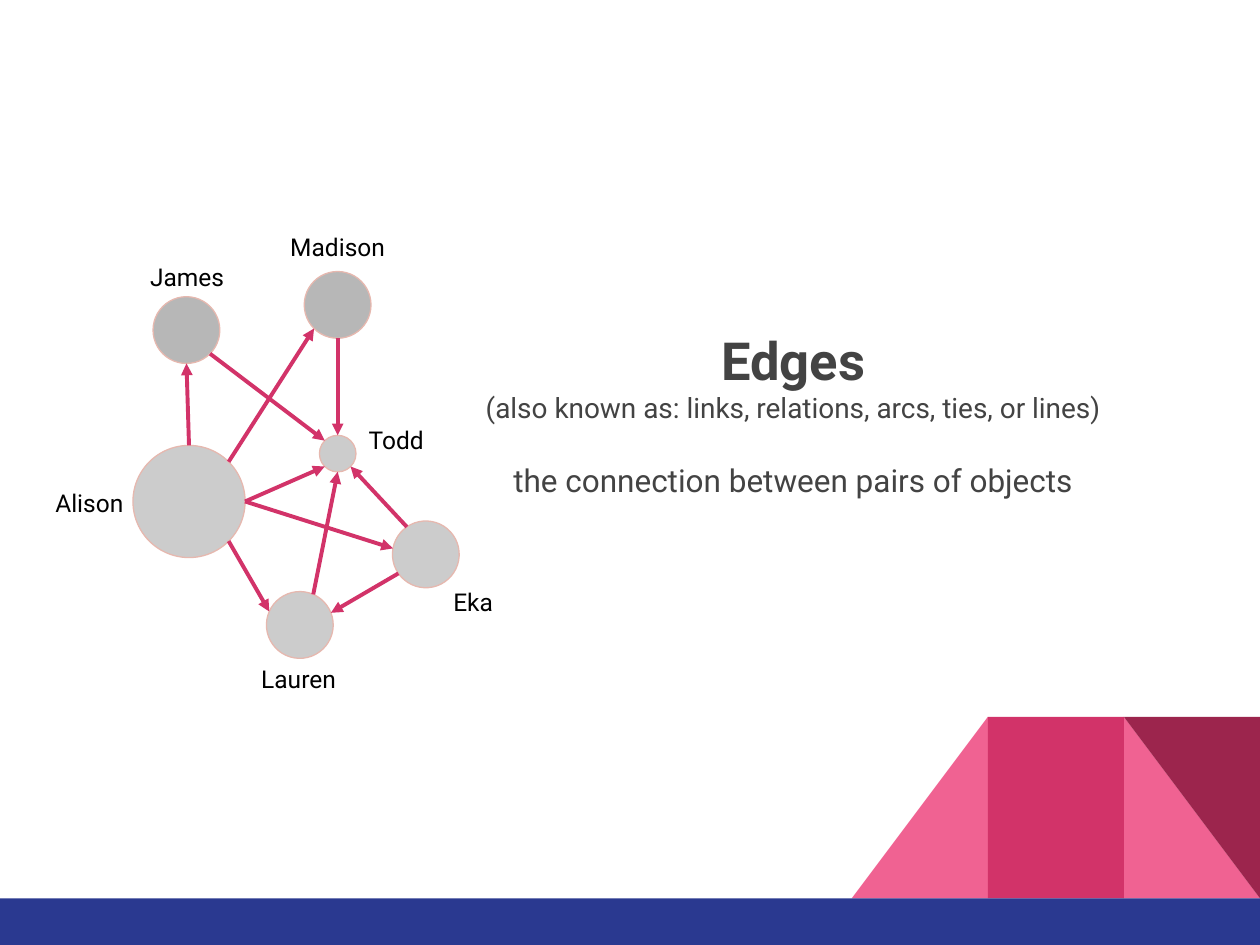
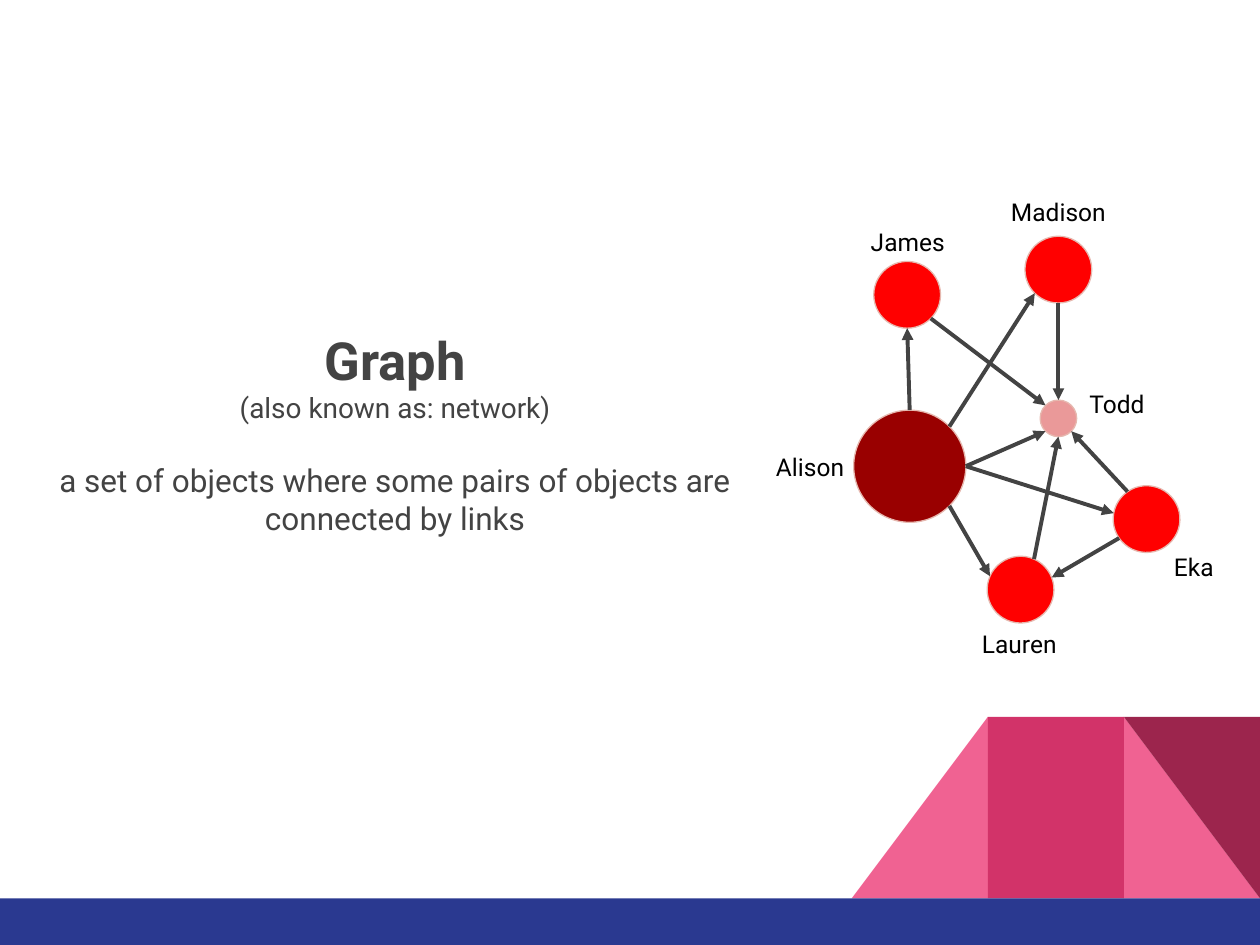
"""Build two slides that explain edges and graphs with a small social network."""
from math import cos, radians, sin

from lxml import etree
from pptx import Presentation
from pptx.dml.color import RGBColor
from pptx.enum.shapes import MSO_CONNECTOR, MSO_SHAPE
from pptx.enum.text import MSO_ANCHOR, MSO_AUTO_SIZE, PP_ALIGN
from pptx.oxml.ns import qn
from pptx.util import Inches, Pt

OVAL, RECT, TRIANGLE = MSO_SHAPE.OVAL, MSO_SHAPE.RECTANGLE, MSO_SHAPE.RIGHT_TRIANGLE
STRAIGHT = MSO_CONNECTOR.STRAIGHT
TOP, NO_FIT = MSO_ANCHOR.TOP, MSO_AUTO_SIZE.NONE
LEFT, CENTER = PP_ALIGN.LEFT, PP_ALIGN.CENTER
COLS, ROWS = 10, 7.5

FONT = "Roboto"
DARK, BLACK = "434343", "000000"
PINK, MAGENTA, WINE, BLUE = "F06292", "D23369", "9C254D", "2A3990"
OUTLINE = "E6B8AF"

NODES = {
    "Todd": (2.68, 3.6, 0.29, 0),
    "Madison": (2.68, 2.42, 0.53, 0),
    "Alison": (1.5, 3.98, 0.89, 0),
    "James": (1.48, 2.62, 0.53, 0),
    "Lauren": (2.38, 4.96, 0.53, 23.7),
    "Eka": (3.38, 4.4, 0.53, 10.3),
}
LABELS = {
    "Todd": (2.75, 3.27, 0.79, CENTER),
    "Madison": (2.17, 1.74, 1.02, CENTER),
    "Alison": (0.34, 3.77, 0.79, LEFT),
    "James": (1.04, 1.98, 0.89, CENTER),
    "Lauren": (1.92, 5.17, 0.9, CENTER),
    "Eka": (3.36, 4.56, 0.79, CENTER),
}
EDGES = [
    ("Alison", 0, "James", 4),
    ("Alison", 7, "Madison", 3),
    ("Alison", 6, "Todd", 3),
    ("Alison", 5, "Lauren", 2),
    ("Alison", 6, "Eka", 2),
    ("Eka", 3, "Lauren", 7),
    ("Eka", 1, "Todd", 5),
    ("James", 5, "Todd", 1),
    ("Lauren", 0, "Todd", 4),
    ("Madison", 4, "Todd", 0),
]


def rgb(color):
    return RGBColor.from_string(color)


def site_point(name, site):
    x, y, size, rotation = NODES[name]
    angle = radians(45 * site - rotation)
    return x - size / 2 * sin(angle), y - size / 2 * cos(angle)


class Deck:
    def __init__(self):
        self.prs = Presentation()
        self.prs.slide_width, self.prs.slide_height = Inches(10), Inches(7.5)
        self.col = self.prs.slide_width / COLS
        self.row = self.prs.slide_height / ROWS

    def grid(self, x, y):
        return round(x * self.col), round(y * self.row)

    def new_slide(self):
        self.s = self.prs.slides.add_slide(self.prs.slide_layouts[1])
        title = self.s.shapes.title.element
        title.getparent().remove(title)
        self.shapes = self.s.shapes
        self.band()

    def shape(self, kind, x, y, w, h, fill, line=None, rotation=0, flip=False):
        sp = self.shapes.add_shape(kind, *self.grid(x, y), *self.grid(w, h))
        sp.shadow.inherit = False
        sp.rotation = rotation
        sp.fill.solid()
        sp.fill.fore_color.rgb = rgb(fill)
        if line:
            sp.line.color.rgb = rgb(line)
            sp.line.width = Pt(0.75)
        else:
            sp.line.fill.background()
        if flip:
            sp.element.spPr.xfrm.set("flipH", "1")
        return sp

    def band(self):
        w, h, floor = 1.08, 1.44, 7.13
        top = floor - h
        right, middle, left = (COLS - n * w for n in (1, 2, 3))
        self.shape(TRIANGLE, right, top, w, h, PINK)
        self.shape(TRIANGLE, left, top, w, h, PINK, flip=True)
        self.shape(RECT, middle, top, w, h, MAGENTA)
        self.shape(TRIANGLE, right, top, w, h, WINE, rotation=180)
        self.shape(RECT, 0, floor, COLS, ROWS - floor, BLUE)

    def frame(self, tf):
        tf.word_wrap = True
        tf.auto_size = NO_FIT
        tf.vertical_anchor = TOP
        tf.margin_left = tf.margin_right = Inches(0.1)
        tf.margin_top = tf.margin_bottom = Inches(0.1)

    def set_text(self, p, text, size, color, align=CENTER, bold=False):
        p.text = text
        p.alignment = align
        font = p.runs[0].font
        font.name, font.size, font.bold = FONT, Pt(size), bold
        font.color.rgb = rgb(color)

    def body(self, x, w, term, synonyms, meaning):
        sp = self.s.placeholders[1]
        sp.left, sp.top = self.grid(x, 2.5)
        sp.width, sp.height = self.grid(w, 1.66)
        tf = sp.text_frame
        self.frame(tf)
        tf.text = "\n".join((term, synonyms, meaning))
        for p, size, gap in zip(tf.paragraphs, (30, 16, 18), (0, 0, 21)):
            self.set_text(p, p.text, size, DARK, bold=size == 30)
            p.space_before = Pt(gap)
            pPr = p._p.get_or_add_pPr()
            pPr.set("marL", "0")
            pPr.set("indent", "0")
            etree.SubElement(pPr, qn("a:buNone"))

    def label(self, text, x, y, w, align):
        sp = self.shapes.add_textbox(*self.grid(x, y), *self.grid(w, 0.42))
        self.frame(sp.text_frame)
        self.set_text(sp.text_frame.paragraphs[0], text, 14, BLACK, align)

    def arrow(self, start, end, color):
        cxn = self.shapes.add_connector(STRAIGHT, *self.grid(*start), *self.grid(*end))
        cxn.line.color.rgb = rgb(color)
        cxn.line.width = Pt(2.25)
        spPr = cxn.element.spPr
        etree.SubElement(spPr.find(qn("a:ln")), qn("a:tailEnd"), type="triangle")
        etree.SubElement(spPr, qn("a:effectLst"))
        return cxn

    def network(self, dx, dy, fills, edge_color):
        self.shapes = self.s.shapes.add_group_shape().shapes
        circles = {}
        for name, (x, y, size, rotation) in NODES.items():
            left, top = x + dx - size / 2, y + dy - size / 2
            circles[name] = self.shape(OVAL, left, top, size, size, fills[name],
                                       OUTLINE, rotation)
            x, y, w, align = LABELS[name]
            self.label(name, x + dx, y + dy, w, align)
        for source, out, target, into in EDGES:
            ends = [(x + dx, y + dy) for x, y in
                    (site_point(source, out), site_point(target, into))]
            cxn = self.arrow(*ends, edge_color)
            if out == 0 and not circles[source].rotation:
                cxn.begin_connect(circles[source], 0)
            if into == 0 and not circles[target].rotation:
                cxn.end_connect(circles[target], 0)


def main():
    deck = Deck()

    deck.new_slide()
    deck.body(2.93, 6.73, "Edges",
              "(also known as: links, relations, arcs, ties, or lines)",
              "the connection between pairs of objects")
    grays = dict.fromkeys(NODES, "CCCCCC") | {"Madison": "B7B7B7", "James": "B7B7B7"}
    deck.network(0, 0, grays, MAGENTA)

    deck.new_slide()
    deck.body(0.34, 5.59, "Graph", "(also known as: network)",
              "a set of objects where some pairs of objects are connected by links")
    reds = dict.fromkeys(NODES, "FF0000") | {"Todd": "EA9999", "Alison": "990000"}
    deck.network(5.72, -0.28, reds, DARK)

    deck.prs.save("out.pptx")


if __name__ == "__main__":
    main()
